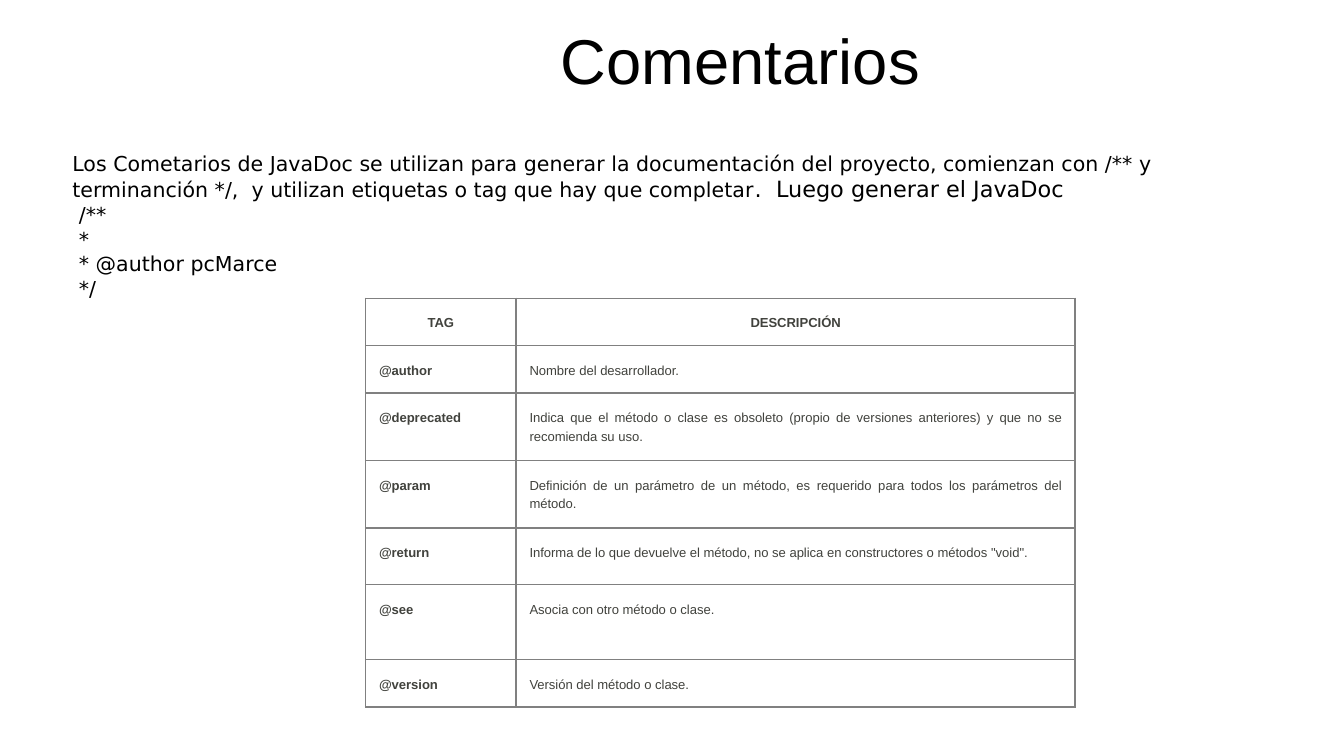
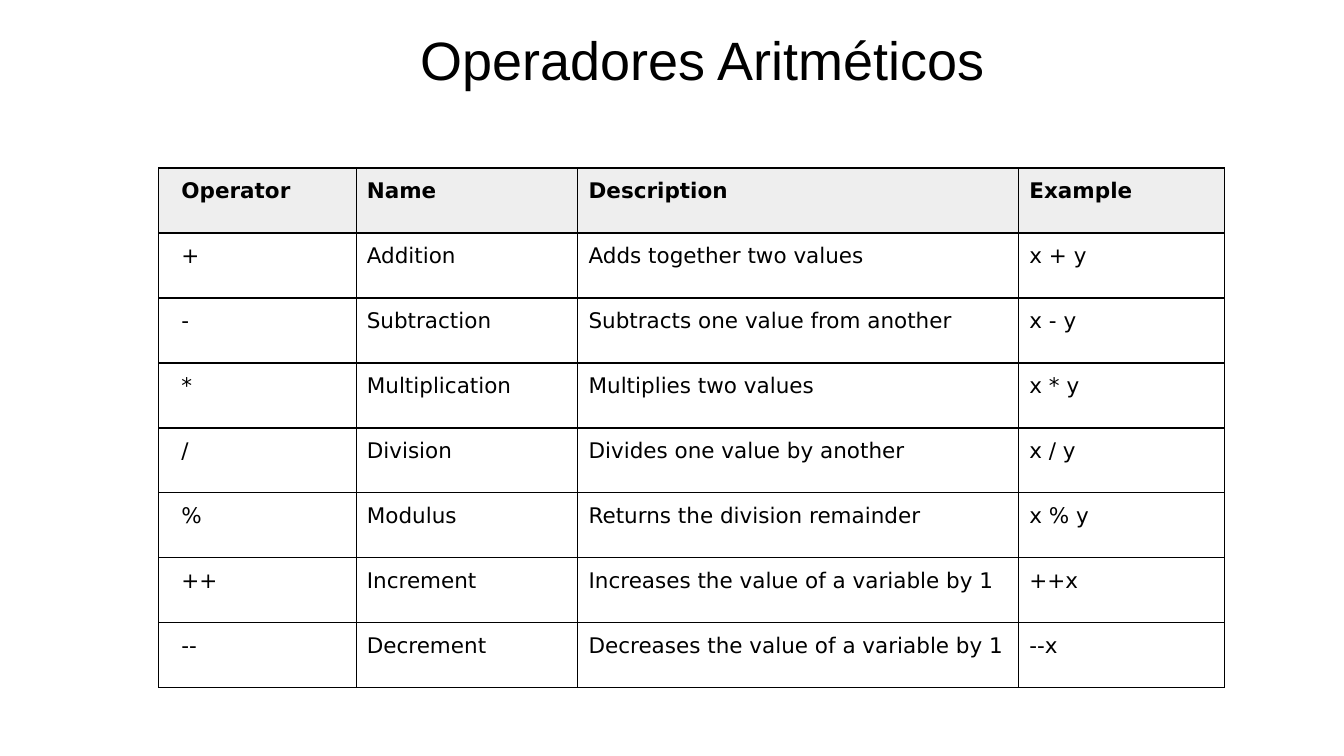
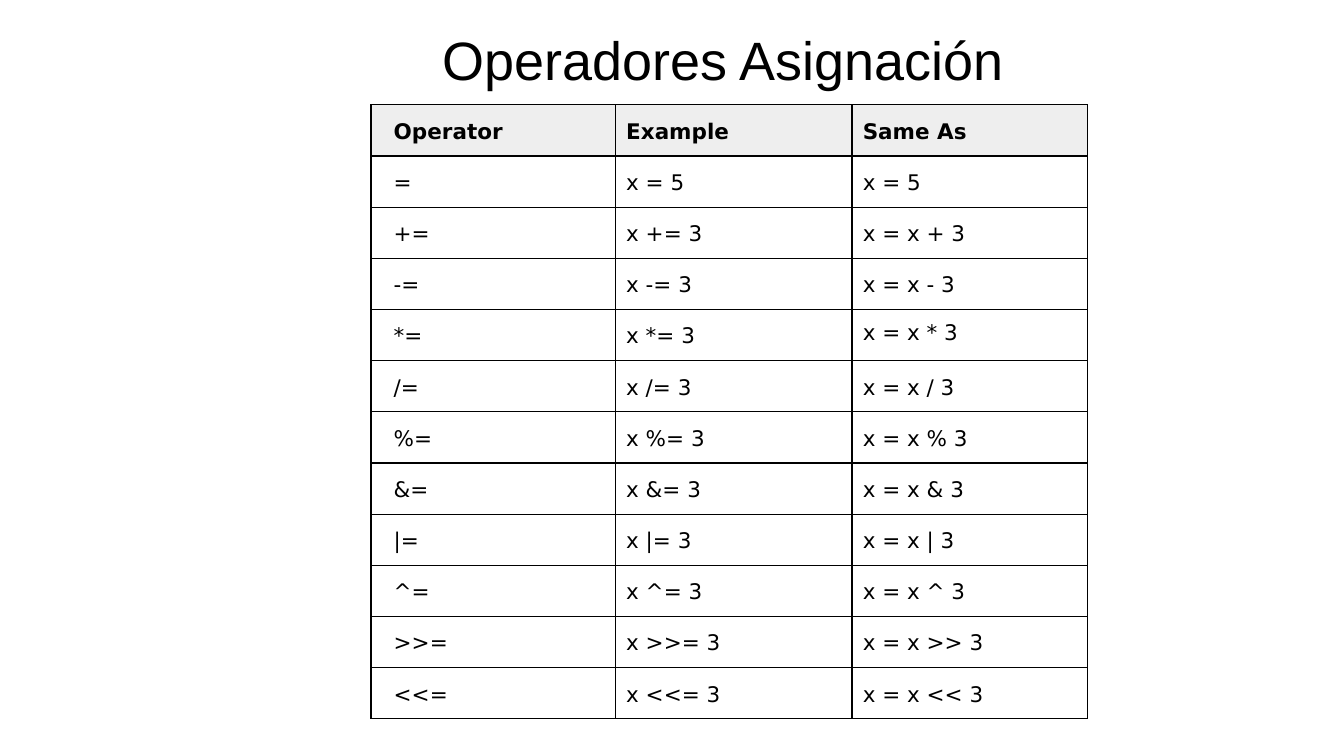
from lxml.etree import SubElement
from pptx import Presentation
from pptx.dml.color import RGBColor
from pptx.enum.text import MSO_ANCHOR, MSO_AUTO_SIZE, PP_ALIGN
from pptx.oxml.ns import qn
from pptx.util import Inches, Pt

BLACK = RGBColor(0x00, 0x00, 0x00)
GRAY = RGBColor(0x80, 0x80, 0x80)
DARK_GRAY = RGBColor(0x41, 0x42, 0x3D)
HEADER_FILL = RGBColor(0xEE, 0xEE, 0xEE)
WHITE = RGBColor(0xFF, 0xFF, 0xFF)
TITLE_FONT = "Arial"
TEXT_FONT = "DejaVu Sans"

# Widescreen 16:9
prs = Presentation()
prs.slide_width = Inches(10)
prs.slide_height = Inches(10 * 9 / 16)


def add_titled_slide(heading, left, top, height, size, align):
    slide = prs.slides.add_slide(prs.slide_layouts[5])
    title = slide.shapes.title
    title.left, title.top = Inches(left), Inches(top)
    title.width, title.height = Inches(5.32), Inches(height)
    frame = title.text_frame
    frame.text = heading
    frame.word_wrap = True
    frame.auto_size = MSO_AUTO_SIZE.NONE
    frame.vertical_anchor = MSO_ANCHOR.BOTTOM
    frame.margin_left = frame.margin_right = Inches(0.1)
    frame.margin_top = frame.margin_bottom = Inches(0.1)
    frame.paragraphs[0].alignment = align
    font = frame.paragraphs[0].runs[0].font
    font.name, font.size, font.color.rgb = TITLE_FONT, Pt(size), BLACK
    return slide


def add_grid(slide, rows, left, top, widths, heights, font_name, size, color,
             border, border_width, header_fill, margin, first_margin, spacing):
    table = slide.shapes.add_table(
        len(rows), len(widths), Inches(left), Inches(top),
        Inches(sum(widths)), Inches(sum(heights))).table
    table.first_row = table.horz_banding = False
    for column, width in zip(table.columns, widths):
        column.width = Inches(width)
    for row, height in zip(table.rows, heights):
        row.height = Inches(height)
    for r, row in enumerate(rows):
        for c, words in enumerate(row):
            cell = table.cell(r, c)
            cell.text_frame.text = words
            cell.margin_left = Inches(first_margin if c == 0 else margin)
            cell.margin_right = Inches(margin)
            cell.margin_top = cell.margin_bottom = Inches(margin)
            # Borders come before the fill in the cell properties
            properties = cell._tc.get_or_add_tcPr()
            for side in ("a:lnL", "a:lnR", "a:lnT", "a:lnB"):
                line = SubElement(properties, qn(side), w=str(Pt(border_width)))
                SubElement(SubElement(line, qn("a:solidFill")),
                           qn("a:srgbClr"), val=str(border))
            cell.fill.solid()
            cell.fill.fore_color.rgb = header_fill if r == 0 else WHITE
            paragraph = cell.text_frame.paragraphs[0]
            paragraph.line_spacing = spacing
            font = paragraph.runs[0].font
            font.name, font.size, font.color.rgb = font_name, Pt(size), color
            font.bold = r == 0
    return table


# Comments slide
comments = add_titled_slide("Comentarios", 2.85, 0.24, 0.58, 33.9, PP_ALIGN.CENTER)

explanation = comments.shapes.add_textbox(
    Inches(0.44), Inches(0.82), Inches(9.13), Inches(1.73)).text_frame
explanation.word_wrap = True
explanation.margin_left = explanation.margin_right = Inches(0.1)
explanation.margin_top, explanation.margin_bottom = Inches(0.3), Inches(0.1)
explanation.text = "\n".join([
    "Los Cometarios de JavaDoc se utilizan para generar la documentación del "
    "proyecto, comienzan con /** y terminanción */,  y utilizan etiquetas o tag "
    "que hay que completar",
    " /**", " *", " * @author pcMarce", " */"])
closing = explanation.paragraphs[0].add_run()
closing.text = ".  Luego generar el JavaDoc"
for paragraph in explanation.paragraphs:
    for run in paragraph.runs:
        run.font.name, run.font.size = TEXT_FONT, Pt(11)
        run.font.color.rgb = BLACK
closing.font.size = Pt(12)

tags = [
    ("TAG", "DESCRIPCIÓN"),
    ("@author", "Nombre del desarrollador."),
    ("@deprecated", "Indica que el método o clase es obsoleto (propio de "
     "versiones anteriores) y que no se recomienda su uso."),
    ("@param", "Definición de un parámetro de un método, es requerido para "
     "todos los parámetros del método."),
    ("@return", "Informa de lo que devuelve el método, no se aplica en "
     'constructores o métodos "void".'),
    ("@see", "Asocia con otro método o clase."),
    ("@version", "Versión del método o clase."),
]
tag_table = add_grid(
    comments, tags, 2.72, 2.22, [1.12, 4.16],
    [0.35, 0.35, 0.5, 0.5, 0.42, 0.56, 0.35], TITLE_FONT, 7, DARK_GRAY,
    GRAY, 0.8, WHITE, margin=0.1, first_margin=0.1, spacing=1.3)
for r in range(len(tags)):
    for c in range(2):
        paragraph = tag_table.cell(r, c).text_frame.paragraphs[0]
        paragraph.alignment = PP_ALIGN.CENTER if r == 0 else PP_ALIGN.JUSTIFY
        paragraph.runs[0].font.bold = r == 0 or c == 0

# Arithmetic operators slide
arithmetic = add_titled_slide(
    "Operadores Aritméticos", 3.03, 0.18, 0.6, 28.9, PP_ALIGN.LEFT)
arithmetic_operators = [
    ("Operator", "Name", "Description", "Example"),
    ("+", "Addition", "Adds together two values", "x + y"),
    ("-", "Subtraction", "Subtracts one value from another", "x - y"),
    ("*", "Multiplication", "Multiplies two values", "x * y"),
    ("/", "Division", "Divides one value by another", "x / y"),
    ("%", "Modulus", "Returns the division remainder", "x % y"),
    ("++", "Increment", "Increases the value of a variable by 1", "++x"),
    ("--", "Decrement", "Decreases the value of a variable by 1", "--x"),
]
operator_style = dict(
    font_name=TEXT_FONT, size=11.5, color=BLACK, border=BLACK, border_width=0.75,
    header_fill=HEADER_FILL, margin=0.08, first_margin=0.17)
add_grid(arithmetic, arithmetic_operators, 1.18, 1.25, [1.47, 1.65, 3.28, 1.53],
         [3.87 / len(arithmetic_operators)] * len(arithmetic_operators),
         spacing=1.0, **operator_style)

# Assignment operators slide
assignment = add_titled_slide(
    "Operadores Asignación", 3.19, 0.18, 0.6, 28.9, PP_ALIGN.LEFT)
assignment_operators = [("Operator", "Example", "Same As"), ("=", "x = 5", "x = 5")]
for symbol in ("+", "-", "*", "/", "%", "&", "|", "^", ">>", "<<"):
    assignment_operators.append(
        (f"{symbol}=", f"x {symbol}= 3", f"x = x {symbol} 3"))
assignment_table = add_grid(
    assignment, assignment_operators, 2.76, 0.78, [1.82, 1.76, 1.75],
    [4.57 / len(assignment_operators)] * len(assignment_operators),
    spacing=1.15, **operator_style)
# The product expression is set with single spacing
assignment_table.cell(4, 2).text_frame.paragraphs[0].line_spacing = 1.0

prs.save("out.pptx")
